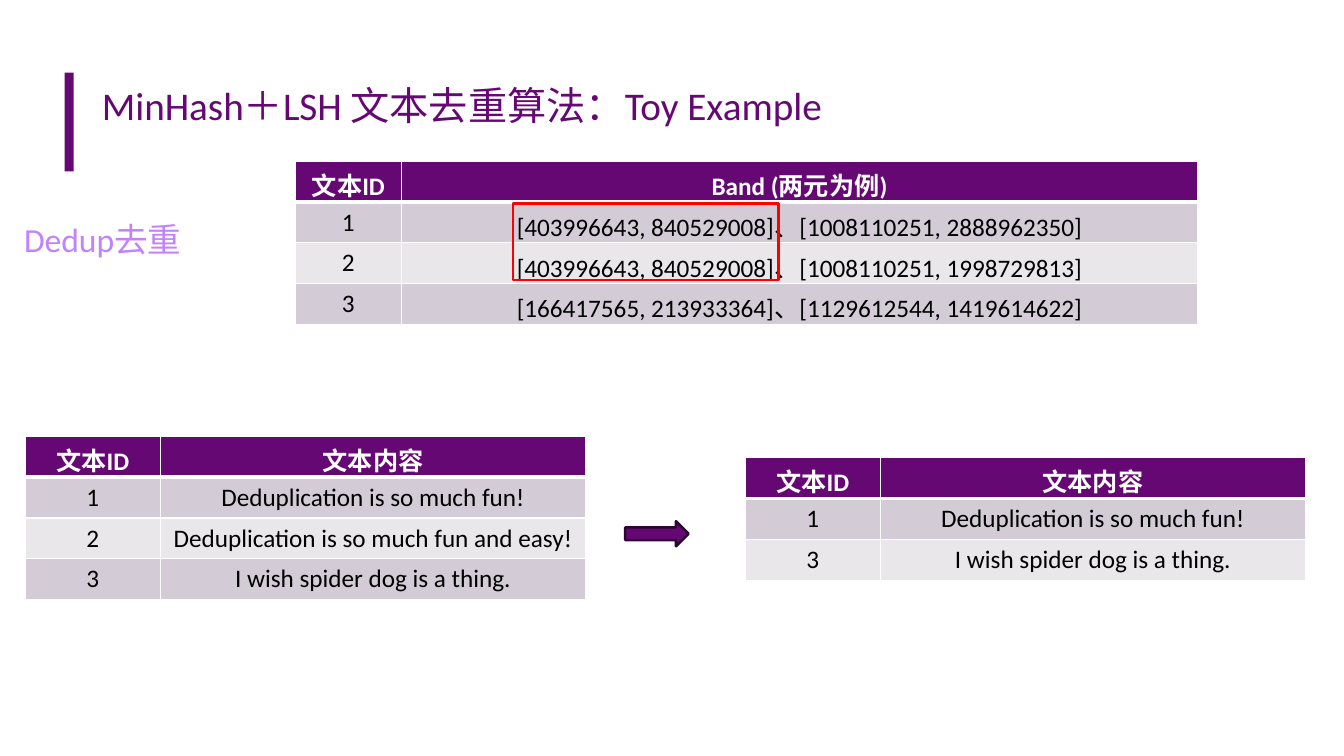
from dataclasses import dataclass

from lxml.etree import SubElement
from pptx import Presentation
from pptx.dml.color import RGBColor
from pptx.enum.shapes import MSO_SHAPE as Preset
from pptx.enum.text import MSO_ANCHOR as Anchor, MSO_AUTO_SIZE as AutoSize, PP_ALIGN as Align
from pptx.oxml.ns import qn
from pptx.util import Inches, Pt


@dataclass(frozen=True)
class Theme:
    font: str = "Calibri"
    purple: str = "660874"
    dark_purple: str = "2D0433"
    lilac: str = "C281FF"
    white: str = "FFFFFF"
    black: str = "000000"
    red: str = "FF0000"
    bands: tuple = ("D3CCD6", "EAE7EB")
    title_size: int = 28
    label_size: int = 24
    table_size: int = 18
    outline: float = 1.75
    grid: float = 1
    header_rule: float = 3


THEME = Theme()
TITLE_ONLY = 5

BANDS = [
    ("文本ID", "Band (两元为例)"),
    ("1", "[403996643, 840529008]、[1008110251, 2888962350]"),
    ("2", "[403996643, 840529008]、[1008110251, 1998729813]"),
    ("3", "[166417565, 213933364]、[1129612544, 1419614622]"),
]
TEXTS = [
    ("文本ID", "文本内容"),
    ("1", "Deduplication is so much fun!"),
    ("2", "Deduplication is so much fun and easy!"),
    ("3", "I wish spider dog is a thing."),
]
KEPT_TEXTS = [row for row in TEXTS if row[0] != "2"]


def inches(box):
    return [Inches(length) for length in box]


def write(frame, text, size, color, bold=False, align=Align.LEFT, anchor=Anchor.TOP):
    frame.word_wrap = True
    frame.vertical_anchor = anchor
    para = frame.paragraphs[0]
    para.alignment = align
    span = para.add_run()
    span.text = text
    span.font.name = THEME.font
    span.font.size = Pt(size)
    span.font.bold = bold
    span.font.color.rgb = RGBColor.from_string(color)


def add_preset(page, preset, box, fill=None, line=None, rotation=0):
    shape = page.shapes.add_shape(preset, *inches(box))
    shape.shadow.inherit = False
    shape.rotation = rotation
    if fill:
        shape.fill.solid()
        shape.fill.fore_color.rgb = RGBColor.from_string(fill)
    else:
        shape.fill.background()
    if line:
        shape.line.color.rgb = RGBColor.from_string(line)
        shape.line.width = Pt(THEME.outline)
    else:
        shape.line.fill.background()


def set_borders(cell, top, bottom):
    """Draw white borders, with the given top and bottom widths in points."""
    properties = cell._tc.get_or_add_tcPr()
    widths = {"a:lnL": THEME.grid, "a:lnR": THEME.grid, "a:lnT": top, "a:lnB": bottom}
    for position, (tag, width) in enumerate(widths.items()):
        line = SubElement(properties, qn(tag), w=str(Pt(width)))
        fill = SubElement(line, qn("a:solidFill"))
        SubElement(fill, qn("a:srgbClr"), val=THEME.white)
        properties.insert(position, line)


def add_grid(page, box, rows, id_width):
    """Add a banded two-column table whose rows share the height of the box."""
    left, top, width, height = box
    table = page.shapes.add_table(len(rows), 2, *inches(box)).table
    table.columns[0].width = Inches(id_width)
    table.columns[1].width = Inches(width - id_width)
    for index, texts in enumerate(rows):
        table.rows[index].height = Inches(height / len(rows))
        header = index == 0
        fill = THEME.purple if header else THEME.bands[(index - 1) % 2]
        for column, text in enumerate(texts):
            cell = table.cell(index, column)
            cell.fill.solid()
            cell.fill.fore_color.rgb = RGBColor.from_string(fill)
            cell.vertical_anchor = Anchor.MIDDLE
            write(cell.text_frame, text, THEME.table_size,
                  THEME.white if header else THEME.black,
                  bold=header, align=Align.CENTER, anchor=Anchor.MIDDLE)
            set_borders(cell,
                        top=THEME.header_rule if index == 1 else THEME.grid,
                        bottom=THEME.header_rule if header else THEME.grid)


def add_heading(page, box):
    left, top, width, height = box
    add_preset(page, Preset.RECTANGLE, (left - 0.27, top + 0.23, 0.09, 0.98), fill=THEME.purple)
    title = page.shapes.title
    title.left, title.top, title.width, title.height = inches(box)
    title.text_frame.auto_size = AutoSize.NONE
    write(title.text_frame, "MinHash＋LSH 文本去重算法：Toy Example",
          THEME.title_size, THEME.purple, anchor=Anchor.MIDDLE)


def add_label(page, box):
    label = page.shapes.add_textbox(*inches(box))
    write(label.text_frame, "Dedup去重", THEME.label_size, THEME.lilac)


def add_band_comparison(page, box):
    """Add the band table and frame the bands that match."""
    left, top, width, height = box
    add_grid(page, box, BANDS, id_width=1.05)
    add_preset(page, Preset.RECTANGLE, (left + 2.16, top + 0.42, 2.63, 0.76), line=THEME.red)


def add_deduplication(page, box):
    """Add the texts before and after, with an arrow from one to the other."""
    left, top, width, height = box
    table_width, id_width = 5.56, 1.34
    add_grid(page, (left, top, table_width, height), TEXTS, id_width)
    add_preset(page, Preset.DOWN_ARROW, (left + 6.14, top + 0.65, 0.25, 0.63),
               fill=THEME.purple, line=THEME.dark_purple, rotation=270)
    add_grid(page, (left + width - table_width, top + 0.21, table_width, 1.22),
             KEPT_TEXTS, id_width)


def main():
    deck = Presentation()
    deck.slide_width, deck.slide_height = Inches(13.33), Inches(7.5)
    page = deck.slides.add_slide(deck.slide_layouts[TITLE_ONLY])
    add_heading(page, (0.91, 0.49, 11.51, 1.11))
    add_label(page, (0.14, 2.12, 2.54, 0.5))
    add_band_comparison(page, (2.93, 1.6, 8.95, 1.62))
    add_deduplication(page, (0.25, 4.33, 12.7, 1.62))
    deck.save("out.pptx")


if __name__ == "__main__":
    main()
